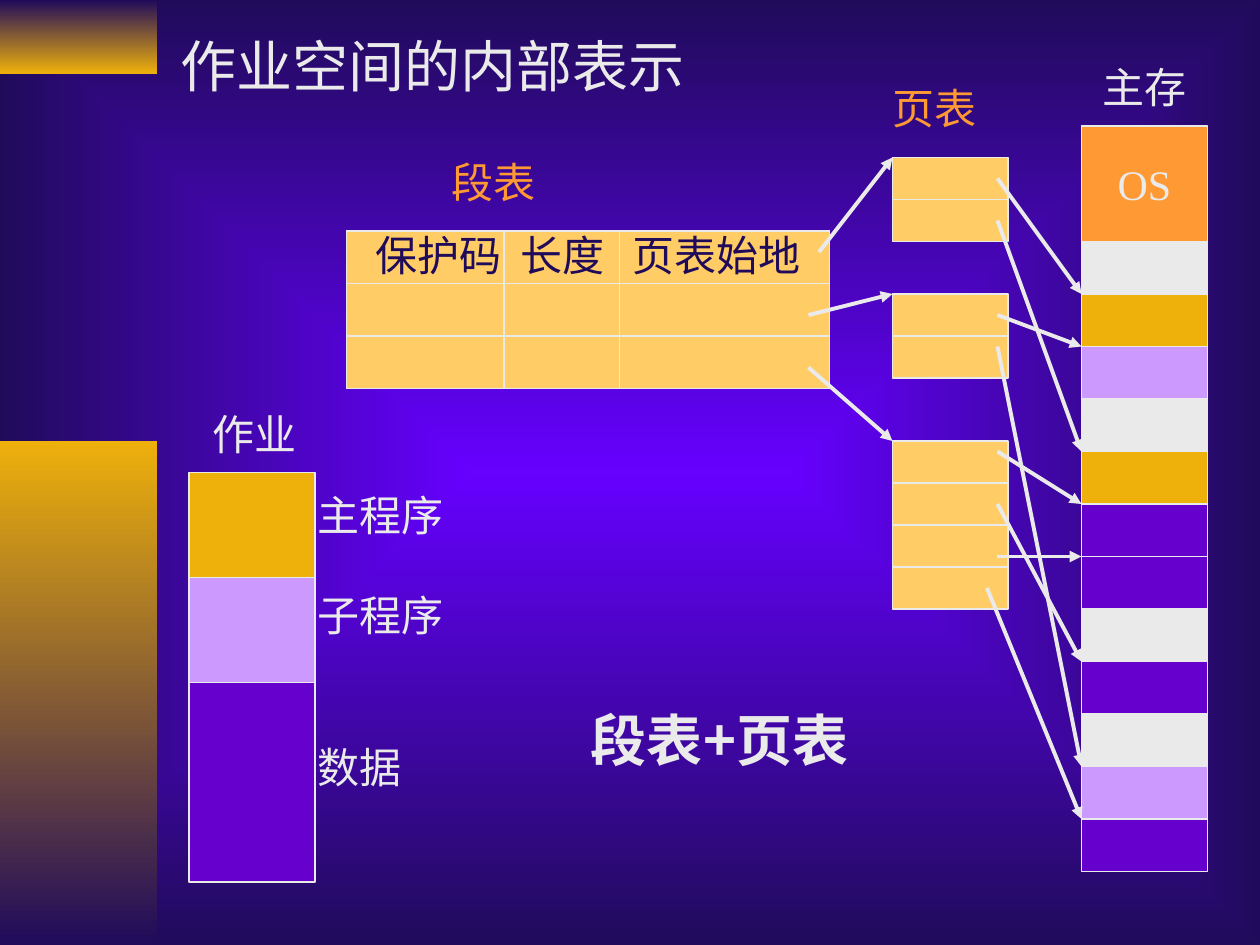
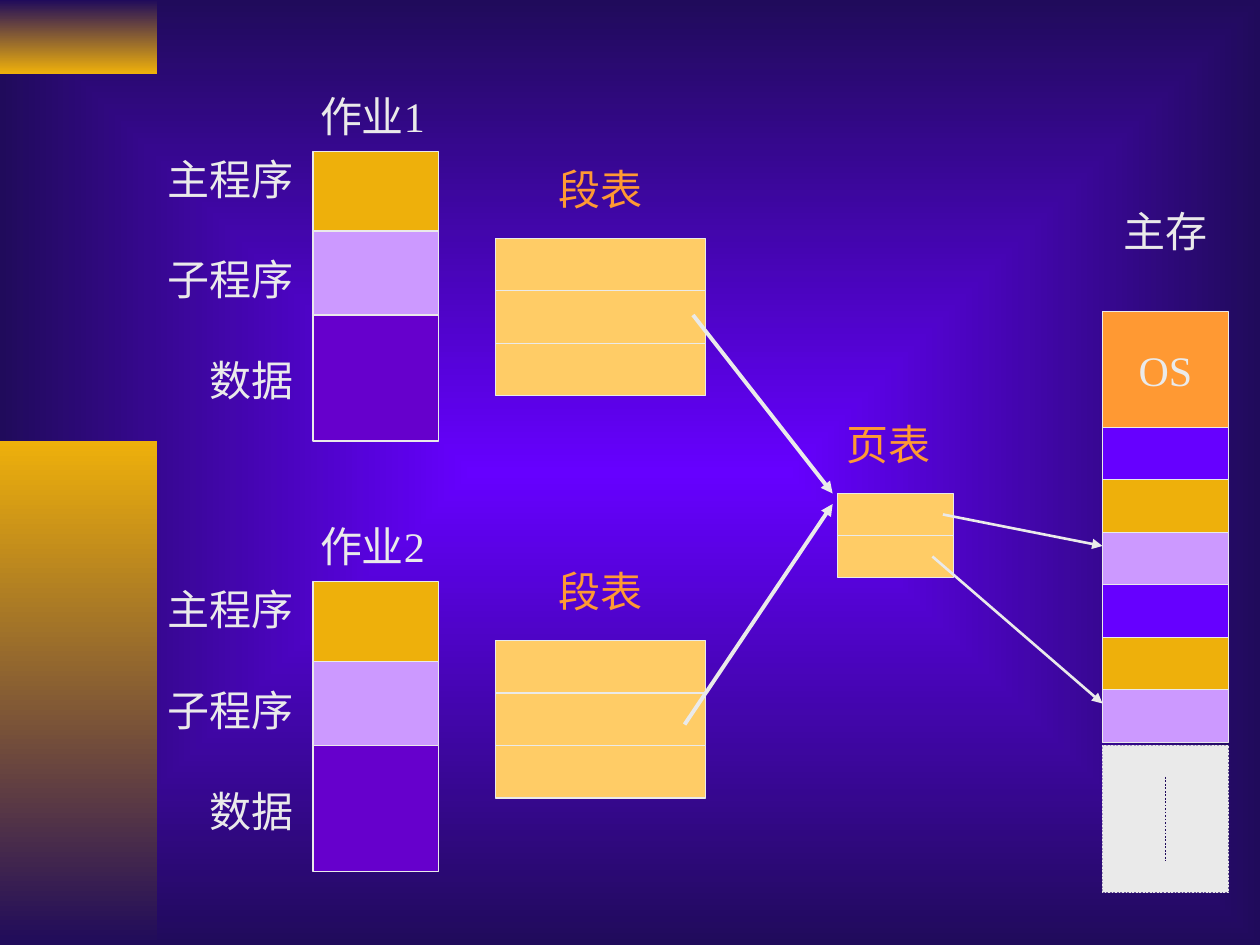
"""Build two slides on segment tables and page tables."""
from dataclasses import dataclass, field
from typing import NamedTuple

from lxml import etree
from pptx import Presentation
from pptx import util as u
from pptx.dml import color
from pptx.enum import dml, shapes, text
from pptx.oxml import ns, parse_xml
from pptx.slide import Slide, SlideMaster

WIDTH, HEIGHT = u.Inches(10), u.Inches(7.5)
COLUMNS, ROWS = 120, 90


@dataclass(frozen=True)
class Theme:
    """Colours, type and line weights of the deck."""
    violet: str = "6600FF"
    night: str = "200B5B"
    gold: str = "EEB00B"
    lilac: str = "CC99FF"
    purple: str = "6600CC"
    sand: str = "FFCC66"
    orange: str = "FF9933"
    pale: str = "EAEAEA"
    eastern: str = "Noto Sans CJK SC"
    edge: float = 0.75
    arrow: float = 2.25
    fine_arrow: float = 1.5
    body: dict = field(default_factory=lambda: {"size": u.Pt(24), "name": "Times New Roman"})
    title: dict = field(default_factory=lambda: {"size": u.Pt(32), "name": "Noto Sans CJK SC"})
    summary: dict = field(default_factory=lambda: {
        "size": u.Pt(32), "name": "Noto Sans CJK SC", "bold": True})


T = Theme()


class Cell(NamedTuple):
    """One block of a stack, with its height in rows."""
    rows: float
    fill: str
    word: str = ""


class Stack(NamedTuple):
    """Blocks piled downwards from a grid position."""
    left: float
    top: float
    width: float
    cells: list[Cell]


class Caption(NamedTuple):
    """Lines of text; pitch is the distance between lines in points."""
    lines: list[str]
    left: float
    top: float
    width: float = 14
    ink: str = T.pale
    style: dict = T.body
    pitches: tuple[float, ...] = ()
    align: text.PP_ALIGN = text.PP_ALIGN.LEFT


class Arrow(NamedTuple):
    """A straight line between two grid points."""
    x1: float
    y1: float
    x2: float
    y2: float
    weight: float = T.arrow
    ink: str = T.pale
    dotted: bool = False


def across(columns: float) -> u.Emu:
    """Turn grid columns into a length."""
    return u.Emu(round(WIDTH * columns / COLUMNS))


def down(rows: float) -> u.Emu:
    """Turn grid rows into a length."""
    return u.Emu(round(HEIGHT * rows / ROWS))


def rgb(code: str) -> color.RGBColor:
    """Read a hexadecimal colour."""
    return color.RGBColor.from_string(code)


def write(paragraph, words: str, ink: str, style: dict) -> None:
    """Add a styled run to a paragraph."""
    run = paragraph.add_run()
    run.text = words
    for attribute, value in style.items():
        setattr(run.font, attribute, value)
    run.font.color.rgb = rgb(ink)
    etree.SubElement(run.font._element, ns.qn("a:ea"), typeface=T.eastern)


def blend(fill, first: str, last: str) -> None:
    """Give a fill two gradient colours."""
    fill.gradient()
    for stop, code in zip(fill.gradient_stops, (first, last)):
        stop.color.rgb = rgb(code)


def draw_block(slide: Slide, left: float, top: float, width: float, rows: float):
    """Place a rectangle without shadow."""
    block = slide.shapes.add_shape(shapes.MSO_SHAPE.RECTANGLE, across(left), down(top),
                                   across(width), down(rows))
    block.shadow.inherit = False
    return block


def draw_stack(slide: Slide, stack: Stack) -> None:
    """Pile the cells of a stack."""
    top = stack.top
    for cell in stack.cells:
        block = draw_block(slide, stack.left, top, stack.width, cell.rows)
        block.fill.solid()
        block.fill.fore_color.rgb = rgb(cell.fill)
        block.line.color.rgb = rgb(T.pale)
        block.line.width = u.Pt(T.edge)
        if cell.word:
            block.text_frame.vertical_anchor = text.MSO_ANCHOR.MIDDLE
            paragraph = block.text_frame.paragraphs[0]
            paragraph.alignment = text.PP_ALIGN.CENTER
            write(paragraph, cell.word, T.pale, T.body)
        top += cell.rows


def draw_caption(slide: Slide, caption: Caption) -> None:
    """Place a text box."""
    frame = slide.shapes.add_textbox(across(caption.left), down(caption.top),
                                     across(caption.width), down(6)).text_frame
    frame.word_wrap = True
    line_height = caption.style["size"].pt * 1.2
    for index, words in enumerate(caption.lines):
        paragraph = frame.add_paragraph() if index else frame.paragraphs[0]
        paragraph.alignment = caption.align
        paragraph.line_spacing = u.Pt(line_height)
        if index:
            paragraph.space_before = u.Pt(caption.pitches[index - 1] - line_height)
        write(paragraph, words, caption.ink, caption.style)


def draw_arrow(slide: Slide, arrow: Arrow) -> None:
    """Draw a line, with a head unless it is dotted."""
    link = slide.shapes.add_connector(
        shapes.MSO_CONNECTOR.STRAIGHT, across(arrow.x1), down(arrow.y1),
        across(arrow.x2), down(arrow.y2))
    link.line.color.rgb = rgb(arrow.ink)
    link.line.width = u.Pt(arrow.weight)
    if arrow.dotted:
        link.line.dash_style = dml.MSO_LINE.ROUND_DOT
    else:
        etree.SubElement(link.line._get_or_add_ln(), ns.qn("a:tailEnd"), type="triangle")
    etree.SubElement(link._element.spPr, ns.qn("a:effectLst"))


def draw_segment_table(slide: Slide) -> None:
    """Draw the segment table with its three headed columns."""
    headings = ("保护码", "长度", "页表始地")
    widths, indents = (15, 11, 20), (2.8, 1.6, 1.2)
    table = slide.shapes.add_table(3, 3, across(33), down(22), across(46), down(15)).table
    table.first_row = table.horz_banding = False
    for row in table.rows:
        row.height = down(5)
    for column, width in zip(table.columns, widths):
        column.width = across(width)
    for index, cell in enumerate(table.iter_cells()):
        for side in ("left", "right", "top", "bottom"):
            setattr(cell, f"margin_{side}", 0)
        cell.fill.solid()
        cell.fill.fore_color.rgb = rgb(T.sand)
        cell.vertical_anchor = text.MSO_ANCHOR.BOTTOM
        for place, edge in enumerate(("lnL", "lnR", "lnT", "lnB")):
            cell._tc.get_or_add_tcPr().insert(place, parse_xml(
                f'<a:{edge} {ns.nsdecls("a")} w="{u.Pt(T.edge)}"><a:solidFill>'
                f'<a:srgbClr val="{T.pale}"/></a:solidFill></a:{edge}>'))
        if index < len(headings):
            cell.margin_left = across(indents[index])
            paragraph = cell.text_frame.paragraphs[0]
            paragraph.line_spacing = u.Pt(28)
            write(paragraph, headings[index], T.night, T.body)


def paint_backdrop(master: SlideMaster) -> None:
    """Give all slides a gradient that spreads from the centre."""
    blend(master.background.fill, T.violet, T.night)
    straight = master.element.find(".//" + ns.qn("a:lin"))
    straight.getparent().replace(straight, parse_xml(
        f'<a:path {ns.nsdecls("a")} path="rect">'
        '<a:fillToRect l="50000" t="50000" r="50000" b="50000"/></a:path>'))


def start_slide(deck) -> Slide:
    """Add a blank slide with the two gold bands."""
    slide = deck.slides.add_slide(deck.slide_layouts[6])
    for top, rows, first, last in ((0, 7, T.night, T.gold), (42, 48, T.gold, T.night)):
        band = draw_block(slide, 0, top, 15, rows)
        blend(band.fill, first, last)
        band.fill.gradient_angle = 270
        band.line.fill.background()
    return slide


def draw_all(slide: Slide, stacks: list[Stack], captions: list[Caption],
             arrows: list[Arrow]) -> None:
    """Draw stacks, then arrows, then captions."""
    for draw, parts in ((draw_stack, stacks), (draw_arrow, arrows), (draw_caption, captions)):
        for part in parts:
            draw(slide, part)


def job(left: float, top: float, heights: tuple[float, ...]) -> Stack:
    """Describe a job: main program, subprogram and data."""
    return Stack(left, top, 12, [Cell(*pair) for pair in
                                 zip(heights, (T.gold, T.lilac, T.purple))])


def table_of(left: float, top: float, width: float, rows: float, count: int) -> Stack:
    """Describe a table of equal empty entries."""
    return Stack(left, top, width, [Cell(rows, T.sand)] * count)


def memory(left: float, top: float, frames: list[str]) -> Stack:
    """Describe main memory: the system, then equal frames."""
    return Stack(left, top, 12, [Cell(11, T.orange, "OS")] + [Cell(5, f) for f in frames])


SEGMENTS = ["主程序", "子程序", "数据"]


def build_one_job(deck) -> None:
    """Show how one job maps through its tables into memory."""
    slide = start_slide(deck)
    draw_segment_table(slide)
    page_tables = [table_of(85, top, 11, 4, count) for top, count in ((15, 2), (28, 2), (42, 4))]
    frames = [T.pale, T.gold, T.lilac, T.pale, T.gold, T.purple, T.purple,
              T.pale, T.purple, T.pale, T.lilac, T.purple]
    captions = [
        Caption(["作业空间的内部表示"], 16, 2.4, 54, style=T.title),
        Caption(SEGMENTS, 29.1, 46, 16, pitches=(57.6, 86.4)),
        Caption(["段表"], 41.8, 14.3, ink=T.orange),
        Caption(["页表"], 83.8, 7.3, ink=T.orange),
        Caption(["主存"], 103.8, 5.3),
        Caption(["作业"], 19.1, 38.3),
        Caption(["段表+页表"], 55.1, 66.6, 28.9, style=T.summary),
    ]
    to_pages = [Arrow(78, 24, 85, 15), Arrow(77, 30, 85, 28), Arrow(77, 35, 85, 42)]
    to_frames = [Arrow(95, start, 103, end) for start, end in
                 ((17, 28), (21, 43), (30, 33), (33, 73), (43, 48), (48, 63), (53, 53))]
    draw_all(slide, [job(18, 45, (10, 10, 19)), *page_tables, memory(103, 12, frames)],
             captions, [*to_pages, *to_frames, Arrow(94, 56, 103, 78)])


def build_shared_job(deck) -> None:
    """Show two jobs that share one page table."""
    slide = start_slide(deck)
    stacks = [table_of(79.8, 47, 11, 4, 2),
              memory(105, 29.7, [T.violet, T.gold, T.lilac] * 2)]
    captions = [Caption(["页表"], 79.4, 39.3, ink=T.orange),
                Caption(["主存"], 105.8, 19)]
    for number, job_shift, table_shift in ((1, 0, 0), (2, 41, 38.3)):
        stacks += [job(29.8, 14.4 + job_shift, (7.6, 8, 12)),
                   table_of(47.2, 22.7 + table_shift, 20, 5, 3)]
        captions += [
            Caption([f"作业{number}"], 29.3, 8 + job_shift, 18),
            Caption(SEGMENTS, 13.1, 14 + job_shift, 16, pitches=(57.6, 57.6),
                    align=text.PP_ALIGN.RIGHT),
            Caption(["段表"], 52, 15 + table_shift, ink=T.orange)]
    draw_all(slide, stacks, captions, [
        Arrow(66, 30, 79.3, 47), Arrow(65.2, 69, 79.3, 48),
        Arrow(89.8, 49, 105, 52, T.fine_arrow), Arrow(88.8, 53, 105, 67, T.fine_arrow)])
    rest = draw_block(slide, 105, 71, 12, 14)
    rest.fill.solid()
    rest.fill.fore_color.rgb = rgb(T.pale)
    rest.line.color.rgb = rgb(T.pale)
    for attribute, value in {"width": u.Pt(1), "dash_style": dml.MSO_LINE.ROUND_DOT}.items():
        setattr(rest.line, attribute, value)
    draw_arrow(slide, Arrow(111, 74, 111, 82, 1, T.night, True))


def main() -> None:
    """Build and save the deck."""
    deck = Presentation()
    deck.slide_width, deck.slide_height = WIDTH, HEIGHT
    paint_backdrop(deck.slide_master)
    build_one_job(deck)
    build_shared_job(deck)
    deck.save("out.pptx")


if __name__ == "__main__":
    main()
